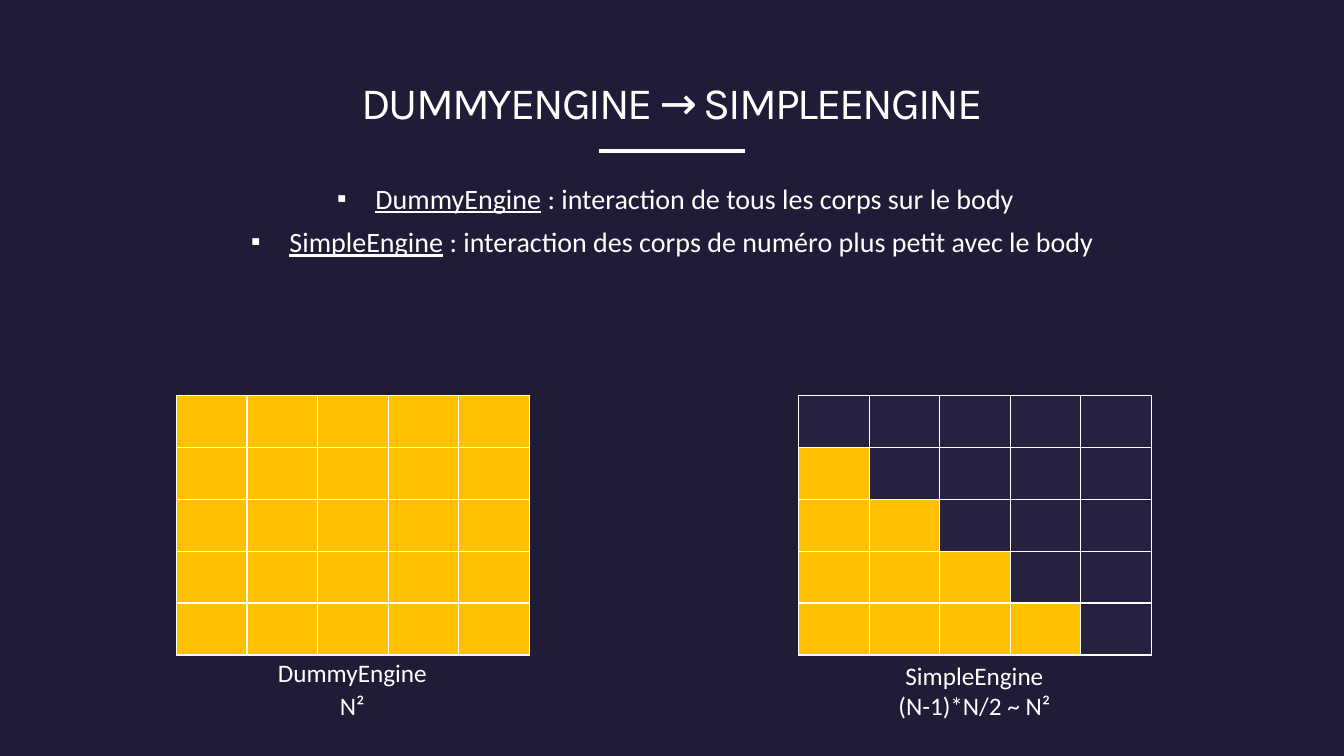
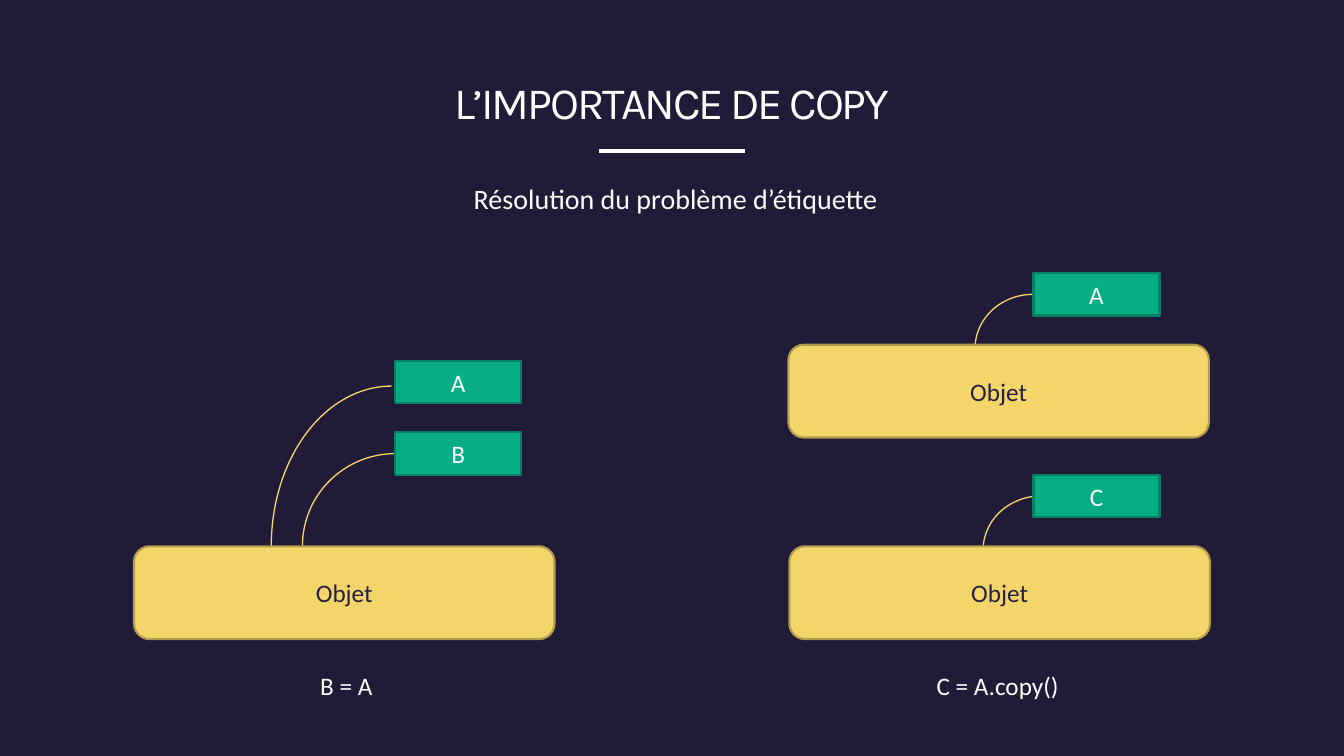
"""Build two slides on engine cost and object copies."""
from dataclasses import dataclass

from lxml import etree
from pptx import Presentation
from pptx.dml.color import RGBColor
from pptx.enum.shapes import MSO_CONNECTOR, MSO_SHAPE
from pptx.enum.text import MSO_ANCHOR, PP_ALIGN
from pptx.oxml.ns import qn
from pptx.util import Inches, Pt

RECT, ROUND = MSO_SHAPE.RECTANGLE, MSO_SHAPE.ROUNDED_RECTANGLE
TAG, ARC = MSO_SHAPE.FLOWCHART_PROCESS, MSO_SHAPE.ARC
STRAIGHT = MSO_CONNECTOR.STRAIGHT
CENTER, TOP, MIDDLE = PP_ALIGN.CENTER, MSO_ANCHOR.TOP, MSO_ANCHOR.MIDDLE


@dataclass(frozen=True)
class Theme:
    """Colours, type and page size."""
    wide: float = 13.33
    high: float = 7.5
    back: str = "262140"
    veil: str = "1D1A32"
    white: str = "FFFFFF"
    gold: str = "FFC000"
    sand: str = "F3D569"
    sand_edge: str = "B49E4E"
    green: str = "07AD85"
    green_edge: str = "058062"


T = Theme()
TITLE = {"name": "Karla", "size": Pt(32), "color": T.white}
BODY = {"name": "Calibri", "size": Pt(20), "color": T.white}
LABEL = {**BODY, "size": Pt(18)}
DARK = {**LABEL, "color": T.back}

GRID = {"n": 5, "top": 3.92, "cell": (0.7, 0.516)}
CAP = (2.83, 0.4)
ENGINES = [
    {"left": 1.75, "full": True,
     "caps": [("DummyEngine", 2.08, 6.47), ("N²", 2.08, 6.8)]},
    {"left": 7.92, "full": False,
     "caps": [("SimpleEngine", 8.25, 6.5), ("(N-1)*N/2 ~ N²", 8.25, 6.8)]},
]
POINTS = [
    [("DummyEngine", True), (" : interaction de tous les corps sur le body", False)],
    [("SimpleEngine", True),
     (" : interaction des corps de numéro plus petit avec le body ", False)],
]
THEME_LINE = [[("Résolution du problème d’étiquette", False)]]

NOTES = [("B = A", 2.02, 6.6), ("C = A.copy()", 8.48, 6.6)]
ARCS = [(3, 4.5, 1.85, 1.83), (2.69, 3.83, 2.39, 3.18),
        (9.75, 4.92, 1.15, 1.08), (9.67, 2.92, 1.15, 1.08)]
KINDS = [
    {"kind": TAG, "size": (1.25, 0.42), "fill": T.green, "edge": T.green_edge,
     "font": LABEL, "items": [("A", 3.92, 3.58), ("B", 3.92, 4.29),
                              ("A", 10.25, 2.71), ("C", 10.25, 4.71)]},
    {"kind": ROUND, "size": (4.17, 0.92), "fill": T.sand, "edge": T.sand_edge,
     "font": DARK, "items": [("Objet", 1.33, 5.42), ("Objet", 7.83, 5.42),
                             ("Objet", 7.82, 3.42)]},
]


def rgb(code):
    """Turn a hex code into a colour."""
    return RGBColor.from_string(code)


def node(parent, tag, **attrs):
    """Add an XML child with attributes."""
    return etree.SubElement(parent, qn(tag), attrs)


def put_run(para, text, style, **more):
    """Add one styled run."""
    run = para.add_run()
    run.text = text
    for key, val in {**style, **more}.items():
        if key == "color":
            run.font.color.rgb = rgb(val)
        else:
            setattr(run.font, key, val)
    return run


def put_text(slide, box, paras, style, anchor=TOP):
    """Add a centred text box and return its paragraphs."""
    frame = slide.shapes.add_textbox(*map(Inches, box)).text_frame
    frame.word_wrap, frame.vertical_anchor = True, anchor
    for i, runs in enumerate(paras):
        para = frame.add_paragraph() if i else frame.paragraphs[0]
        para.alignment = CENTER
        if i:
            para.space_before = Pt(7)
        for text, under in runs:
            put_run(para, text, style, underline=under)
    return frame.paragraphs


def put_caps(slide, caps):
    """Add short captions."""
    for text, left, top in caps:
        put_text(slide, (left, top, *CAP), [[(text, False)]], LABEL)


def put_shape(slide, kind, box, fill=None, edge=None, width=1.5):
    """Add a flat preset shape."""
    shape = slide.shapes.add_shape(kind, *map(Inches, box))
    shape.shadow.inherit = False
    if fill:
        shape.fill.solid()
        shape.fill.fore_color.rgb = rgb(fill)
    else:
        shape.fill.background()
    if edge:
        shape.line.color.rgb = rgb(edge)
        shape.line.width = Pt(width)
    else:
        shape.line.fill.background()
    return shape


def indent(para, left, hang=0.0, bullet=None):
    """Indent a paragraph, with a bullet if given."""
    props = para._p.get_or_add_pPr()
    props.set("marL", str(Inches(left)))
    props.set("indent", str(Inches(hang)))
    if bullet:
        node(props, "a:buSzPct", val="95000")
        node(props, "a:buFont", typeface="Calibri")
        node(props, "a:buChar", char=bullet)


def new_slide(deck, title):
    """Add a slide with its veil, title and rule."""
    slide = deck.slides.add_slide(deck.slide_layouts[6])
    slide.background.fill.solid()
    slide.background.fill.fore_color.rgb = rgb(T.back)
    veil = put_shape(slide, RECT, (0, 0, T.wide, T.high), T.veil)
    tone = veil._element.spPr.find(qn("a:solidFill"))[0]
    node(tone, "a:alpha", val="62000")
    mid, half = T.wide / 2, 0.725
    rule = slide.shapes.add_connector(
        STRAIGHT, *map(Inches, (mid - half, 1.5, mid + half, 1.5)))
    rule.line.color.rgb = rgb(T.white)
    rule.line.width = Pt(3)
    node(rule._element.spPr, "a:effectLst")
    para, = put_text(slide, (1, 0.67, T.wide - 2, 0.67), [[(title, False)]],
                     TITLE, MIDDLE)
    para.runs[0]._r.get_or_add_rPr().set("spc", "-150")
    return slide


def put_edges(cell):
    """Give a cell thin white borders."""
    props = cell._tc.get_or_add_tcPr()
    for i, side in enumerate("LRTB"):
        line = node(props, f"a:ln{side}", w=str(Pt(1)))
        node(node(line, "a:solidFill"), "a:srgbClr", val=T.white)
        props.insert(i, line)


def put_grid(slide, left, full):
    """Add a square table, all gold or gold below the diagonal."""
    n, (wide, high) = GRID["n"], GRID["cell"]
    box = map(Inches, (left, GRID["top"], n * wide, n * high))
    table = slide.shapes.add_table(n, n, *box).table
    table.first_row = table.horz_banding = False
    for row in range(n):
        for col in range(n):
            cell = table.cell(row, col)
            cell.fill.solid()
            cell.fill.fore_color.rgb = rgb(T.gold if full or col < row else T.back)
            put_edges(cell)


def engine_slide(deck):
    """Compare the work of two engines."""
    slide = new_slide(deck, "DUMMYENGINE → SIMPLEENGINE")
    for para in put_text(slide, (1, 1.75, T.wide - 2, 1), POINTS, BODY):
        indent(para, 0.45, -0.38, "▪")
    for engine in ENGINES:
        put_grid(slide, engine["left"], engine["full"])
        put_caps(slide, engine["caps"])


def copy_slide(deck):
    """Show labels tied to shared and copied objects."""
    slide = new_slide(deck, "L’IMPORTANCE DE COPY")
    para, = put_text(slide, (0, 1.75, T.wide, 0.58), THEME_LINE, BODY)
    indent(para, 0.07)
    put_caps(slide, NOTES)
    for box in ARCS:
        arc = put_shape(slide, ARC, box, edge=T.sand, width=0.94)
        arc._element.spPr.xfrm.set("flipH", "1")
    for kind in KINDS:
        for text, *spot in kind["items"]:
            shape = put_shape(slide, kind["kind"], (*spot, *kind["size"]),
                              kind["fill"], kind["edge"])
            frame = shape.text_frame
            frame.vertical_anchor = MIDDLE
            frame.paragraphs[0].alignment = CENTER
            put_run(frame.paragraphs[0], text, kind["font"])


def main():
    """Build and save the deck."""
    deck = Presentation()
    deck.slide_width, deck.slide_height = Inches(T.wide), Inches(T.high)
    engine_slide(deck)
    copy_slide(deck)
    deck.save("out.pptx")


if __name__ == "__main__":
    main()
